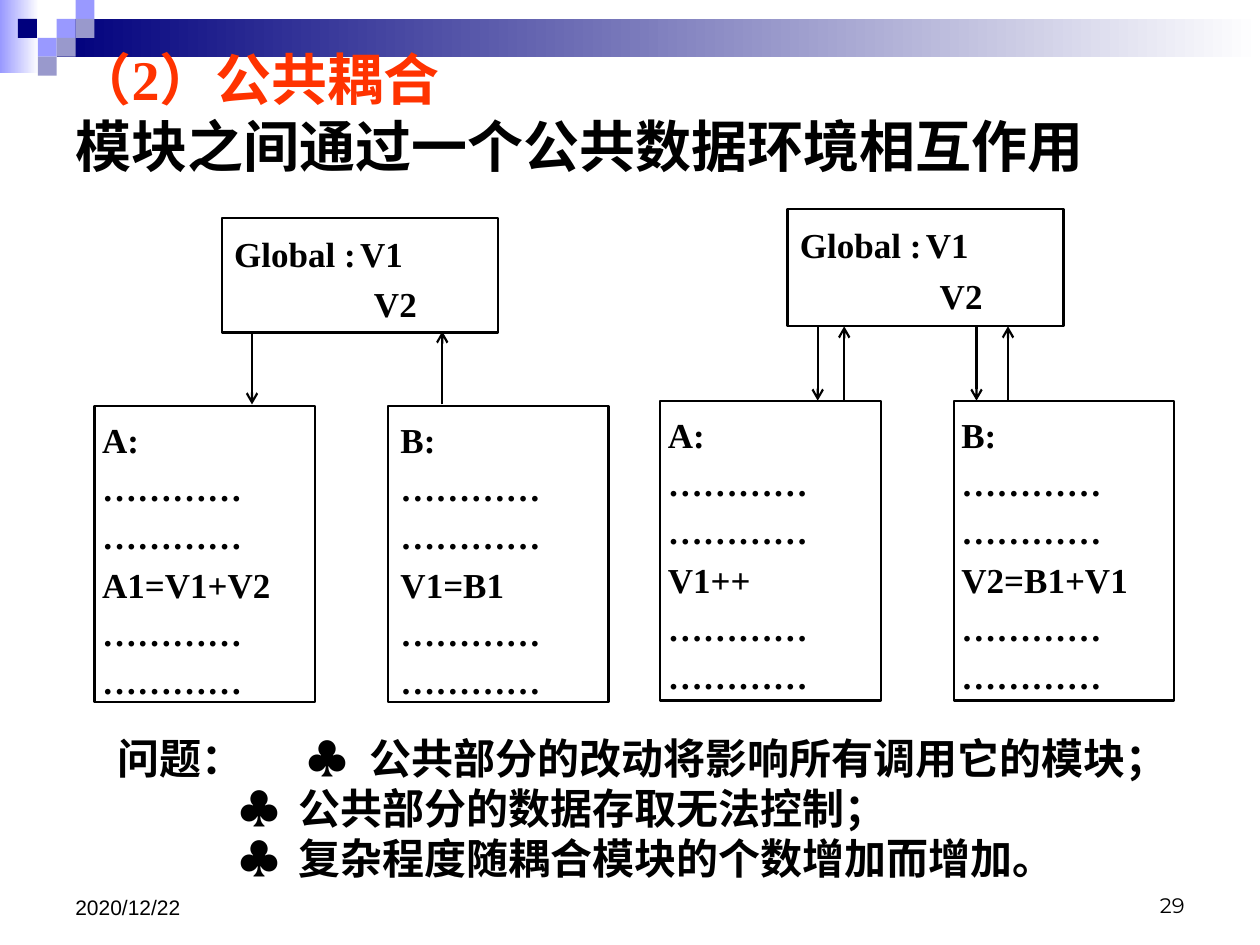
from dataclasses import dataclass

from lxml.etree import SubElement
from pptx import Presentation
from pptx.dml.color import RGBColor
from pptx.enum.shapes import MSO_CONNECTOR, MSO_SHAPE
from pptx.enum.text import MSO_ANCHOR, MSO_AUTO_SIZE, PP_ALIGN
from pptx.oxml.ns import qn
from pptx.util import Inches, Pt


@dataclass(frozen=True)
class Theme:
    black: RGBColor = RGBColor(0x00, 0x00, 0x00)
    white: RGBColor = RGBColor(0xFF, 0xFF, 0xFF)
    red: RGBColor = RGBColor(0xFF, 0x33, 0x00)
    navy: RGBColor = RGBColor(0x00, 0x00, 0x7D)
    violet: RGBColor = RGBColor(0x99, 0x99, 0xFF)
    gray: RGBColor = RGBColor(0x99, 0x99, 0xCC)
    serif: str = "Times New Roman"
    title_size: Pt = Pt(32)
    list_size: Pt = Pt(24)
    code_size: Pt = Pt(20)
    footer_size: Pt = Pt(12)
    line_width: Pt = Pt(1.25)


theme = Theme()


def set_indent(paragraph, margin=0, first_line=0, tab_stops=()):
    properties = paragraph._p.get_or_add_pPr()
    properties.set("marL", str(Inches(margin)))
    properties.set("indent", str(Inches(first_line)))
    SubElement(properties, qn("a:buNone"))
    if tab_stops:
        tab_list = SubElement(properties, qn("a:tabLst"))
        for stop in tab_stops:
            SubElement(tab_list, qn("a:tab"), pos=str(Inches(stop)), algn="l")


def set_font(paragraph, size, name=theme.serif, bold=True):
    font = paragraph.font
    font.size, font.name, font.bold = size, name, bold
    font.color.rgb = theme.black


presentation = Presentation()
presentation.slide_width = Inches(10)
presentation.slide_height = Inches(7.5)
slide = presentation.slides.add_slide(presentation.slide_layouts[1])
shapes = slide.shapes
title, problems = slide.placeholders

bands = [
    (0, 0, 0.31, 0.58, theme.violet),
    (0.45, 0.15, 9.55, 0.3, theme.navy),
]
for left, top, width, height, color in bands:
    band = shapes.add_shape(MSO_SHAPE.RECTANGLE, Inches(left), Inches(top), Inches(width), Inches(height))
    band.shadow.inherit = False
    band.line.fill.background()
    band.fill.gradient()
    band.fill.gradient_angle = 0
    for stop, position, stop_color in zip(band.fill.gradient_stops, (0, 1), (color, theme.white)):
        stop.position = position
        stop.color.rgb = stop_color

tile = 0.15
tiles = [
    (3, 1, theme.violet),
    (4, 0, theme.violet),
    (4, 1, theme.gray),
    (2, 2, theme.violet),
    (0.95, 1, theme.navy),
    (3, 2, theme.gray),
    (2, 3, theme.gray),
]
for column, row, color in tiles:
    square = shapes.add_shape(
        MSO_SHAPE.RECTANGLE, Inches(column * tile), Inches(row * tile), Inches(tile), Inches(tile)
    )
    square.shadow.inherit = False
    square.line.fill.background()
    square.fill.solid()
    square.fill.fore_color.rgb = color

footers = [
    ("29", 7.17, 0.5, "Montserrat", PP_ALIGN.RIGHT),
    ("2020/12/22", 0.5, 0.52, "Arial", PP_ALIGN.LEFT),
]
for text, left, height, font_name, alignment in footers:
    footer = shapes.add_textbox(Inches(left), Inches(6.83), Inches(2.33), Inches(height))
    footer.text_frame.word_wrap = True
    footer.text_frame.vertical_anchor = MSO_ANCHOR.BOTTOM
    paragraph = footer.text_frame.paragraphs[0]
    paragraph.text = text
    paragraph.alignment = alignment
    set_font(paragraph, theme.footer_size, font_name, False)

shapes._spTree.append(title._element)
title.left, title.top, title.width, title.height = Inches(0.5), Inches(0.44), Inches(9), Inches(0.89)
title.text_frame.auto_size = MSO_AUTO_SIZE.NONE
title.text_frame.vertical_anchor = MSO_ANCHOR.MIDDLE
paragraph = title.text_frame.paragraphs[0]
paragraph.alignment = PP_ALIGN.LEFT
set_font(paragraph, theme.title_size)
heading = paragraph.add_run()
heading.text = "（2）公共耦合"
heading.font.color.rgb = theme.red
paragraph.add_line_break()
paragraph.add_run().text = "模块之间通过一个公共数据环境相互作用"

dots = "…………"
global_lines = ["Global :\tV1", "V2"]
boxes = [
    (1.76, 1.73, 2.19, 0.91, 0.1, 1.2, global_lines),
    (0.75, 3.22, 1.75, 2.35, 0.06, 1.15, ["A:", dots, dots, "A1=V1+V2", dots, dots]),
    (3.08, 3.22, 1.75, 2.35, 0.1, 1.15, ["B:", dots, dots, "V1=B1", dots, dots]),
    (6.25, 1.66, 2.19, 0.93, 0.1, 1.2, global_lines),
    (5.24, 3.18, 1.75, 2.38, 0.06, 1.15, ["A:", dots, dots, "V1++", dots, dots]),
    (7.57, 3.18, 1.75, 2.38, 0.06, 1.15, ["B:", dots, dots, "V2=B1+V1", dots, dots]),
]
variable_column = 1.11
for left, top, width, height, inset, spacing, lines in boxes:
    box = shapes.add_shape(MSO_SHAPE.RECTANGLE, Inches(left), Inches(top), Inches(width), Inches(height))
    box.shadow.inherit = False
    box.fill.solid()
    box.fill.fore_color.rgb = theme.white
    box.line.color.rgb = theme.black
    box.line.width = theme.line_width
    frame = box.text_frame
    frame.word_wrap = True
    frame.vertical_anchor = MSO_ANCHOR.TOP
    frame.margin_left = Inches(inset)
    frame.margin_right = Inches(0.02)
    for index, line in enumerate(lines):
        paragraph = frame.add_paragraph() if index else frame.paragraphs[0]
        paragraph.text = line
        paragraph.alignment = PP_ALIGN.JUSTIFY
        paragraph.line_spacing = spacing
        if line == "V2":
            set_indent(paragraph, variable_column)
        elif "\t" in line:
            set_indent(paragraph, tab_stops=[variable_column])
        set_font(paragraph, theme.code_size)

arrows = [
    (2, 2.63, 3.21),
    (3.51, 3.21, 2.63),
    (6.49, 2.59, 3.18),
    (8, 3.18, 2.59),
    (6.7, 3.18, 2.59),
    (7.75, 2.59, 3.18),
]
for x, start, end in arrows:
    arrow = shapes.add_connector(MSO_CONNECTOR.STRAIGHT, Inches(x), Inches(start), Inches(x), Inches(end))
    arrow.line.color.rgb = theme.black
    arrow.line.width = theme.line_width
    SubElement(arrow.line._get_or_add_ln(), qn("a:tailEnd"), type="arrow")
    SubElement(arrow._element.spPr, qn("a:effectLst"))

shapes._spTree.append(problems._element)
problems.left, problems.top, problems.width, problems.height = Inches(0.83), Inches(5.76), Inches(8.51), Inches(1.3)
problems.fill.solid()
problems.fill.fore_color.rgb = theme.white
frame = problems.text_frame
frame.auto_size = MSO_AUTO_SIZE.NONE
frame.vertical_anchor = MSO_ANCHOR.TOP
problem_lines = [
    ("问题：\t♣\t公共部分的改动将影响所有调用它的模块；", 0, 0, [1.16, 1.64]),
    ("♣\t公共部分的数据存取无法控制；", 1.44, -0.48, []),
    ("♣\t复杂程度随耦合模块的个数增加而增加。", 1.44, -0.48, []),
]
for index, (text, margin, first_line, tab_stops) in enumerate(problem_lines):
    paragraph = frame.add_paragraph() if index else frame.paragraphs[0]
    paragraph.text = text
    paragraph.level = min(index, 1)
    paragraph.space_before = Pt(0)
    set_indent(paragraph, margin, first_line, tab_stops)
    set_font(paragraph, theme.list_size)

presentation.save("out.pptx")
